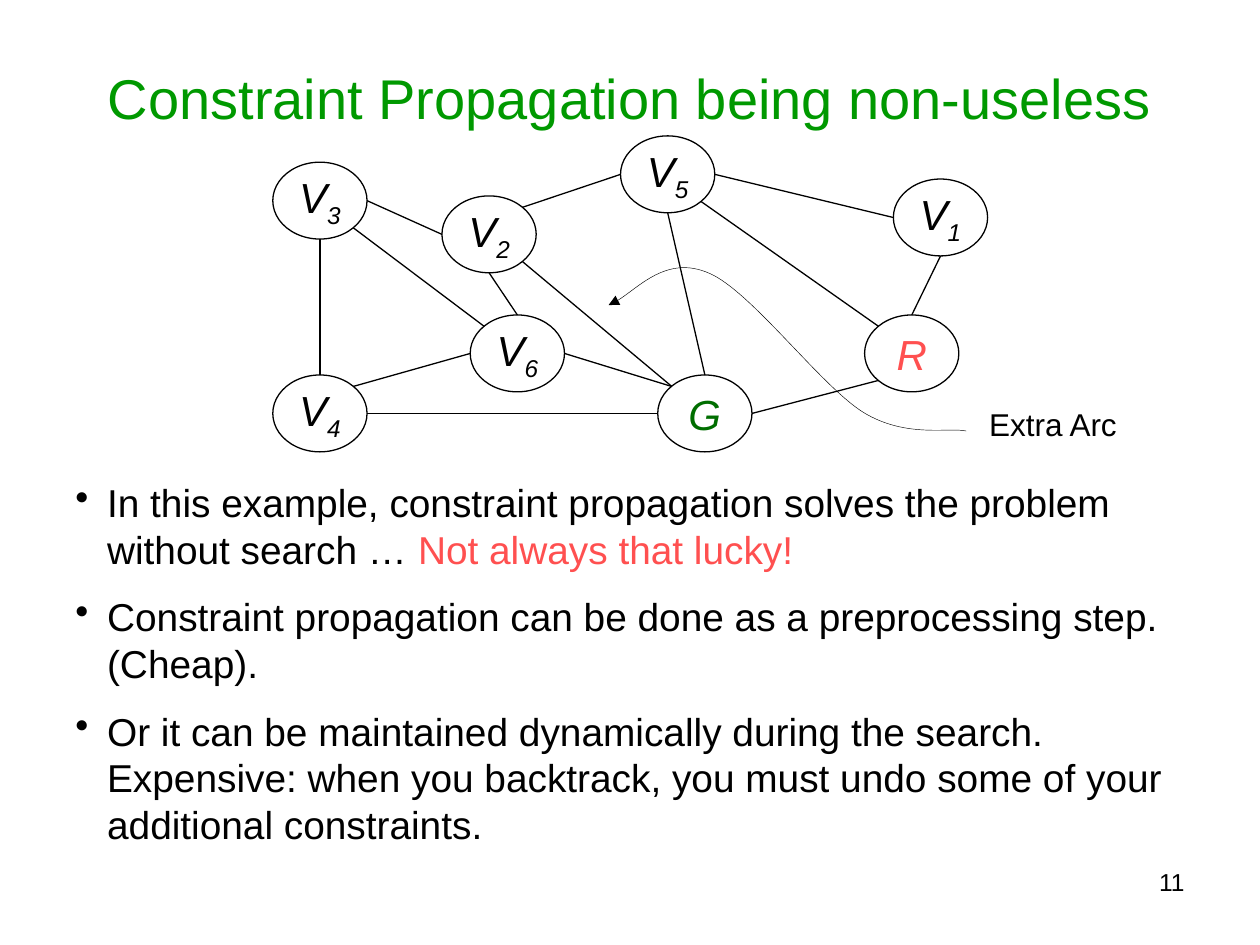
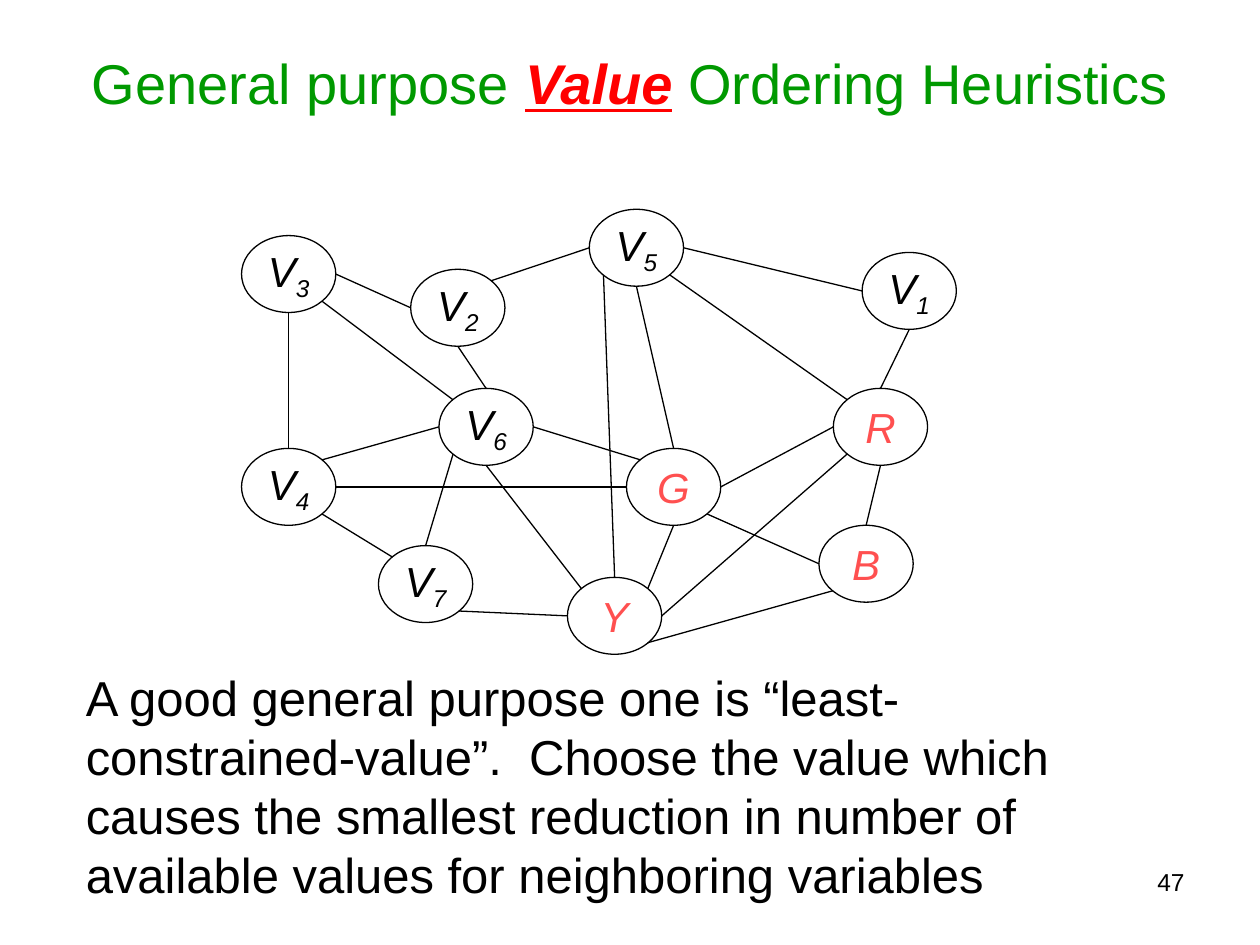
from lxml.etree import SubElement
from pptx import Presentation
from pptx.dml.color import RGBColor
from pptx.enum.shapes import MSO_CONNECTOR as Connector, MSO_SHAPE as Preset
from pptx.enum.text import MSO_ANCHOR as Anchor, MSO_AUTO_SIZE as AutoSize, PP_ALIGN as Align
from pptx.oxml.ns import qn
from pptx.util import Cm, Pt

FONT = "Arial"
BLACK = RGBColor(0x00, 0x00, 0x00)
TITLE_GREEN = RGBColor(0x00, 0x99, 0x00)
NODE_GREEN = RGBColor(0x00, 0x6E, 0x00)
CORAL = RGBColor(0xFF, 0x50, 0x50)
RED = RGBColor(0xFF, 0x00, 0x00)

# Constraint graph, in centimetres: left and top of each node
NODE_WIDTH, NODE_HEIGHT = 1.9, 1.55
NODES = {
    "V3": (5.5, 3.27), "V6": (9.48, 6.35), "V2": (8.91, 3.95),
    "R": (17.43, 6.35), "G": (13.26, 7.56), "V1": (18.01, 3.61),
    "V5": (12.51, 2.74), "V4": (5.5, 7.56),
}
EXTRA_NODES = {"V7": (8.26, 9.52), "Y": (12.07, 10.16), "B": (17.14, 9.11)}

# Points on a node's outline, as fractions of its width and height
NEAR, FAR = 0.15, 0.85
SITES = {
    "N": (0.5, 0), "S": (0.5, 1), "W": (0, 0.5), "E": (1, 0.5),
    "NW": (NEAR, NEAR), "NE": (FAR, NEAR), "SW": (NEAR, FAR), "SE": (FAR, FAR),
}
EDGES = [
    ("V3", "S", "V4", "N"), ("V3", "E", "V2", "W"), ("V3", "SE", "V6", "NW"),
    ("V4", "E", "G", "W"), ("V4", "NE", "V6", "W"), ("V6", "N", "V2", "S"),
    ("V2", "NE", "V5", "W"), ("V5", "E", "V1", "W"), ("V1", "S", "R", "N"),
    ("V5", "SE", "R", "NW"), ("V6", "E", "G", "NW"), ("V5", "S", "G", "N"),
]
PROPAGATION_EDGES = [("G", "E", "R", "SW"), ("V2", "SE", "G", "NW")]
ORDERING_EDGES = [
    ("G", "E", "R", "W"), ("V4", "SE", "V7", "NW"), ("V7", "SE", "Y", "W"),
    ("Y", "SE", "B", "SW"), ("R", "S", "B", "N"), ("G", "SE", "B", "W"),
    ("Y", "N", "V5", "SW"), ("V6", "S", "Y", "NW"), ("Y", "NE", "G", "S"),
    ("Y", "E", "R", "SW"), ("V7", "N", "V6", "SW"),
]
# Start of the extra-arc pointer, then three Bézier points per segment
POINTER = [
    (19.48, 8.69), (19.13, 8.61), (18.26, 8.84), (17.4, 8.31), (16.54, 7.77),
    (15.14, 5.87), (14.3, 5.51), (13.44, 5.13), (12.7, 5.99), (12.27, 6.15),
]


def add_run(paragraph, text, size, color=BLACK, italic=False):
    run = paragraph.add_run()
    run.text = text
    run.font.name, run.font.size = FONT, Pt(size)
    run.font.color.rgb = color
    run.font.italic = italic
    return run


def set_line(shape, width=0.75):
    shape.line.color.rgb = BLACK
    shape.line.width = Pt(width)


def add_titled_slide(presentation, left, top, width, height):
    """Return a new slide and the paragraph of its title."""
    slide = presentation.slides.add_slide(presentation.slide_layouts[5])
    title = slide.shapes.title
    title.left, title.top, title.width, title.height = map(Cm, (left, top, width, height))
    title.text_frame.auto_size = AutoSize.NONE
    title.text_frame.vertical_anchor = Anchor.MIDDLE
    paragraph = title.text_frame.paragraphs[0]
    paragraph.alignment = Align.CENTER
    return slide, paragraph


def add_text_box(slide, left, top, width, height):
    frame = slide.shapes.add_textbox(*map(Cm, (left, top, width, height))).text_frame
    frame.word_wrap = True
    return frame


def add_page_number(slide, number):
    paragraph = add_text_box(slide, 12.28, 17.36, 11.85, 1.32).paragraphs[0]
    paragraph.alignment = Align.RIGHT
    add_run(paragraph, number, 14)


def format_bullet(paragraph):
    properties = paragraph._p.get_or_add_pPr()
    properties.set("marL", str(Cm(0.64)))
    properties.set("indent", str(-Cm(0.64)))
    bullet_color = SubElement(properties, qn("a:buClr"))
    SubElement(bullet_color, qn("a:srgbClr")).set("val", str(BLACK))
    SubElement(properties, qn("a:buChar")).set("char", "•")


def add_bullets(frame, bullets, size):
    for index, runs in enumerate(bullets):
        paragraph = frame.add_paragraph() if index else frame.paragraphs[0]
        format_bullet(paragraph)
        if index:
            paragraph.space_before = Pt(12)
        for text, color in runs:
            add_run(paragraph, text, size, color)


def add_node(slide, name, left, top, color):
    node = slide.shapes.add_shape(
        Preset.FLOWCHART_CONNECTOR, *map(Cm, (left, top, NODE_WIDTH, NODE_HEIGHT)))
    node.shadow.inherit = False
    node.fill.background()
    set_line(node)
    frame = node.text_frame
    frame.word_wrap = False
    frame.vertical_anchor = Anchor.MIDDLE
    paragraph = frame.paragraphs[0]
    paragraph.alignment = Align.CENTER
    letter, subscript = name[0], name[1:]
    add_run(paragraph, letter, 24, color, italic=True)
    if subscript:
        run = add_run(paragraph, subscript, 24, color, italic=True)
        run._r.get_or_add_rPr().set("baseline", "-25000")


def add_edge(slide, start, end):
    edge = slide.shapes.add_connector(Connector.STRAIGHT, *map(Cm, (*start, *end)))
    set_line(edge)
    SubElement(edge._element.spPr, qn("a:effectLst"))


def add_graph(slide, nodes, edges, colors, shift=(0, 0)):
    """Draw nodes and edges, all moved by shift; colors lists the assigned nodes."""
    places = {name: (left + shift[0], top + shift[1])
              for name, (left, top) in nodes.items()}

    def site_point(name, site):
        (left, top), (across, down) = places[name], SITES[site]
        return left + across * NODE_WIDTH, top + down * NODE_HEIGHT

    for name, (left, top) in places.items():
        add_node(slide, name, left, top, colors.get(name, BLACK))
    for source, source_site, target, target_site in edges:
        add_edge(slide, site_point(source, source_site), site_point(target, target_site))


def add_curved_arrow(slide, points):
    start, *others = [(Cm(x), Cm(y)) for x, y in points]
    builder = slide.shapes.build_freeform(*start)
    builder.add_line_segments(others, close=False)
    arrow = builder.convert_to_shape()
    arrow.shadow.inherit = False
    arrow.fill.background()
    set_line(arrow, 0.25)
    SubElement(arrow.line._get_or_add_ln(), qn("a:tailEnd")).set("type", "triangle")
    # Turn every three straight segments into one Bézier segment
    outline = arrow._element.spPr.find(".//" + qn("a:path"))
    segments = outline.findall(qn("a:lnTo"))
    for first in range(0, len(segments), 3):
        curve = SubElement(outline, qn("a:cubicBezTo"))
        for segment in segments[first:first + 3]:
            curve.append(segment[0])
            outline.remove(segment)


def build_propagation_slide(presentation):
    slide, title = add_titled_slide(presentation, 1.27, 0.76, 22.86, 2.41)
    add_run(title, "Constraint Propagation being non-useless", 32, TITLE_GREEN)
    add_graph(slide, NODES, EDGES + PROPAGATION_EDGES, {"R": CORAL, "G": NODE_GREEN})
    # Pointer to the extra arc
    label = add_text_box(slide, 19.69, 8.05, 4.88, 1.02)
    add_run(label.paragraphs[0], "Extra Arc", 18)
    add_curved_arrow(slide, POINTER)
    # Conclusions
    add_bullets(add_text_box(slide, 1.27, 9.53, 23.29, 7.92), [
        [("In this example, constraint propagation solves the problem without search … ", BLACK),
         ("Not always that lucky!", CORAL)],
        [("Constraint propagation can be done as a preprocessing step.  (Cheap).", BLACK)],
        [("Or it can be maintained dynamically during the search.  Expensive: when you "
          "backtrack, you must undo some of your additional constraints.", BLACK)],
    ], 22.2)
    add_page_number(slide, "11")


def build_ordering_slide(presentation):
    slide, title = add_titled_slide(presentation, 0, 0.76, 25.4, 1.78)
    add_run(title, "General purpose ", 32, TITLE_GREEN)
    value = add_run(title, "Value", 32, RED, italic=True)
    value.font.bold = value.font.underline = True
    add_run(title, " Ordering Heuristics", 32, TITLE_GREEN)
    # The same graph with three more nodes
    add_graph(slide, NODES | EXTRA_NODES, EDGES + ORDERING_EDGES,
              dict.fromkeys("RGYB", CORAL), shift=(-0.63, 1.48))
    # Advice
    advice = add_text_box(slide, 1.48, 13.34, 22.01, 5)
    add_run(advice.paragraphs[0],
            "A good general purpose one is “least-constrained-value”.  Choose the value "
            "which causes the smallest reduction in number of available values for "
            "neighboring variables", 28)
    add_page_number(slide, "47")


def main():
    presentation = Presentation()
    presentation.slide_width, presentation.slide_height = Cm(25.4), Cm(19.05)
    build_propagation_slide(presentation)
    build_ordering_slide(presentation)
    presentation.save("out.pptx")


if __name__ == "__main__":
    main()
